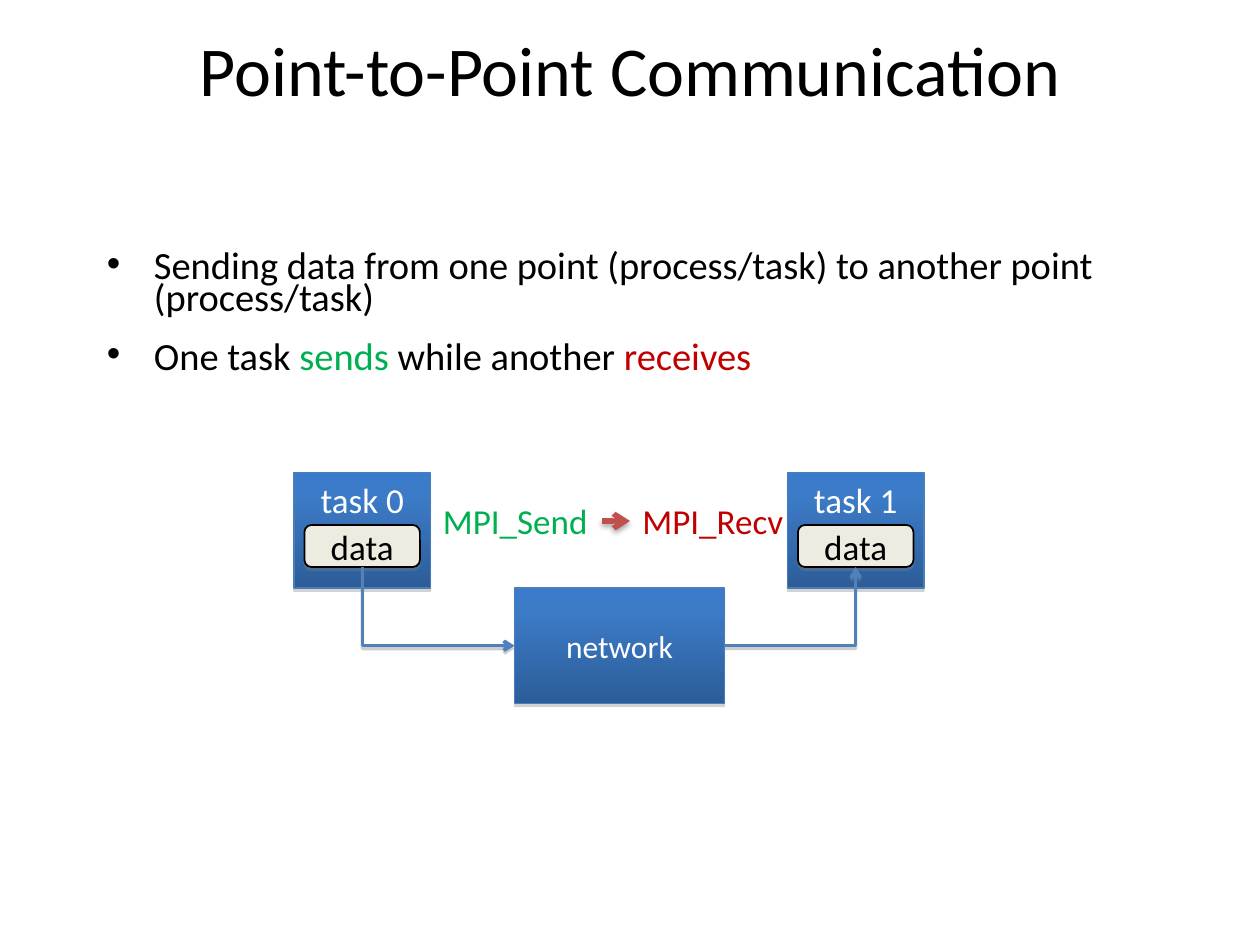
from dataclasses import dataclass

from lxml import etree
from pptx import Presentation
from pptx.dml.color import RGBColor
from pptx.enum.shapes import MSO_CONNECTOR, MSO_SHAPE
from pptx.enum.text import MSO_ANCHOR, MSO_AUTO_SIZE, PP_ALIGN
from pptx.oxml.ns import qn
from pptx.util import Cm, Pt

RECT, ROUND = MSO_SHAPE.RECTANGLE, MSO_SHAPE.ROUNDED_RECTANGLE
LINE, ELBOW = MSO_CONNECTOR.STRAIGHT, MSO_CONNECTOR.ELBOW
TOP, MIDDLE = MSO_ANCHOR.TOP, MSO_ANCHOR.MIDDLE
LEFT, CENTER = PP_ALIGN.LEFT, PP_ALIGN.CENTER
GROW = MSO_AUTO_SIZE.SHAPE_TO_FIT_TEXT


@dataclass(frozen=True)
class Theme:
    """Colours, font and type sizes of the slide."""
    font: str = "Calibri"
    black: str = "000000"
    white: str = "FFFFFF"
    green: str = "00B050"
    red: str = "C00000"
    cream: str = "EEECE1"
    edge: str = "4A7EBB"
    link: str = "4F81BD"
    arrow: str = "C0504D"
    shade: str = "808080"
    blues: tuple = ((0, "3A7CCB"), (20, "3C7BC7"), (100, "2C5D98"))
    title: int = 40
    body: int = 22
    label: int = 20
    net: int = 18


THEME = Theme()


def unit(n):
    """Turn grid steps, twelve to the inch, into a length."""
    return Cm(n * 2.54 / 12)


def node(parent, tag, **attrs):
    """Add an XML child with the given attributes."""
    child = etree.SubElement(parent, qn(tag))
    for key, value in attrs.items():
        child.set(key, str(value))
    return child


def tint(parent, color, alpha=None):
    """Add an RGB colour, with opacity in percent if given."""
    clr = node(parent, "a:srgbClr", val=color)
    if alpha:
        node(clr, "a:alpha", val=alpha * 1000)


def shadow(item, color, alpha, blur, dist):
    """Cast a shadow straight down."""
    effects = node(item._element.spPr, "a:effectLst")
    outer = node(effects, "a:outerShdw", blurRad=Pt(blur), dist=Pt(dist),
                 dir=5400000, rotWithShape=0)
    tint(outer, color, alpha)


def write(para, runs, size, align=LEFT):
    """Fill a paragraph from (text, colour) pairs."""
    para.alignment = align
    for text, color in runs:
        run = para.add_run()
        run.text = text
        run.font.name, run.font.size = THEME.font, Pt(size)
        run.font.color.rgb = RGBColor.from_string(color)


def frame(slide, *place):
    """Add a wrapping text box on the grid."""
    box = slide.shapes.add_textbox(*map(unit, place))
    box.text_frame.word_wrap = True
    return box


def bullet(para, runs):
    """Write a bulleted paragraph with a hanging indent."""
    write(para, runs, THEME.body)
    para.line_spacing, para.space_before = 0.7, Pt(15)
    props = para._p.get_or_add_pPr()
    props.set("marL", str(Cm(0.95)))
    props.set("indent", str(-Cm(0.95)))
    node(props, "a:buFont", typeface="Arial")
    node(props, "a:buChar", char="•")


def tag(slide, left, width, text, color):
    """Add a coloured call name that does not wrap."""
    box = frame(slide, left, 47, width, 5.25)
    box.text_frame.word_wrap = False
    box.text_frame.auto_size = GROW
    write(box.text_frame.paragraphs[0], [(text, color)], THEME.label)
    return box


def block(slide, kind, place, text, size, color, anchor=MIDDLE):
    """Add an outlined shape with centred text."""
    shape = slide.shapes.add_shape(kind, *map(unit, place))
    shape.text_frame.vertical_anchor = anchor
    write(shape.text_frame.paragraphs[0], [(text, color)], size, CENTER)
    return shape


def blue(slide, kind, place, text, size, anchor=MIDDLE):
    """Add a block with the blue gradient."""
    shape = block(slide, kind, place, text, size, THEME.white, anchor)
    shape.fill.gradient()
    shape.fill.gradient_angle = 270
    stops = shape._element.spPr.find(".//" + qn("a:gsLst"))
    stops.clear()
    for pos, color in THEME.blues:
        tint(node(stops, "a:gs", pos=pos * 1000), color)
    shape.line.color.rgb = RGBColor.from_string(THEME.edge)
    shape.line.width = Pt(0.75)
    shadow(shape, THEME.shade, 35, 0, 1.8)
    return shape


def chip(slide, left):
    """Add the data chip of a task."""
    shape = block(slide, ROUND, (left, 50, 11, 4), "data",
                  THEME.label, THEME.black)
    shape.fill.solid()
    shape.fill.fore_color.rgb = RGBColor.from_string(THEME.cream)
    shape.line.color.rgb = RGBColor.from_string(THEME.black)
    shape.line.width = Pt(1)
    shadow(shape, THEME.shade, 35, 0, 1.8)
    return shape


def join(slide, kind, start, end, color, width):
    """Link two (shape, side) pairs with an arrow."""
    wire = slide.shapes.add_connector(kind, 0, 0, 0, 0)
    wire.begin_connect(*start)
    wire.end_connect(*end)
    wire.line.color.rgb = RGBColor.from_string(color)
    wire.line.width = Pt(width)
    node(wire.line._get_or_add_ln(), "a:tailEnd", type="arrow")
    return wire


def bend(slide, start, end, turn=False):
    """Link two sides with one corner, turned to leave downwards if asked."""
    wire = join(slide, ELBOW, start, end, THEME.link, 2)
    props = wire._element.spPr
    props.find(qn("a:prstGeom")).set("prst", "bentConnector2")
    if turn:
        wide, high = wire.width, wire.height
        wire.left += (wide - high) // 2
        wire.top += (high - wide) // 2
        wire.width, wire.height = high, wide
        form = props.find(qn("a:xfrm"))
        form.set("rot", "16200000")
        form.set("flipH", "1")
    shadow(wire, THEME.shade, 38, 0, 1.6)


def main():
    """Build and save the slide."""
    deck = Presentation()
    deck.slide_width, deck.slide_height = Cm(25.4), Cm(19.05)
    slide = deck.slides.add_slide(deck.slide_layouts[6])

    title = frame(slide, 9, 0, 102, 13).text_frame
    title.vertical_anchor = MIDDLE
    write(title.paragraphs[0],
          [("Point-to-Point Communication", THEME.black)],
          THEME.title, CENTER)

    body = frame(slide, 9, 18, 101, 20).text_frame
    body.margin_top = Cm(1.3)
    bullet(body.paragraphs[0], [
        ("Sending data from one point (process/task) "
         "to another point (process/task)", THEME.black)])
    bullet(body.add_paragraph(), [
        ("One task ", THEME.black), ("sends", THEME.green),
        (" while another ", THEME.black), ("receives", THEME.red)])

    lefts = (28, 75)
    for i, left in enumerate(lefts):
        blue(slide, RECT, (left, 45, 13, 11), f"task {i}", THEME.label, TOP)
    source, target = [chip(slide, left + 1) for left in lefts]
    send = tag(slide, 41, 16.32, "MPI_Send", THEME.green)
    recv = tag(slide, 60, 16, "MPI_Recv", THEME.red)
    net = blue(slide, ROUND, (49, 56, 20, 11), "network", THEME.net)
    net.adjustments[0] = 0

    bend(slide, (source, 2), (net, 1), turn=True)
    bend(slide, (net, 3), (target, 2))
    arrow = join(slide, LINE, (send, 3), (recv, 1), THEME.arrow, 3)
    shadow(arrow, THEME.black, 35, 3.1, 1.8)
    deck.save("out.pptx")


if __name__ == "__main__":
    main()
